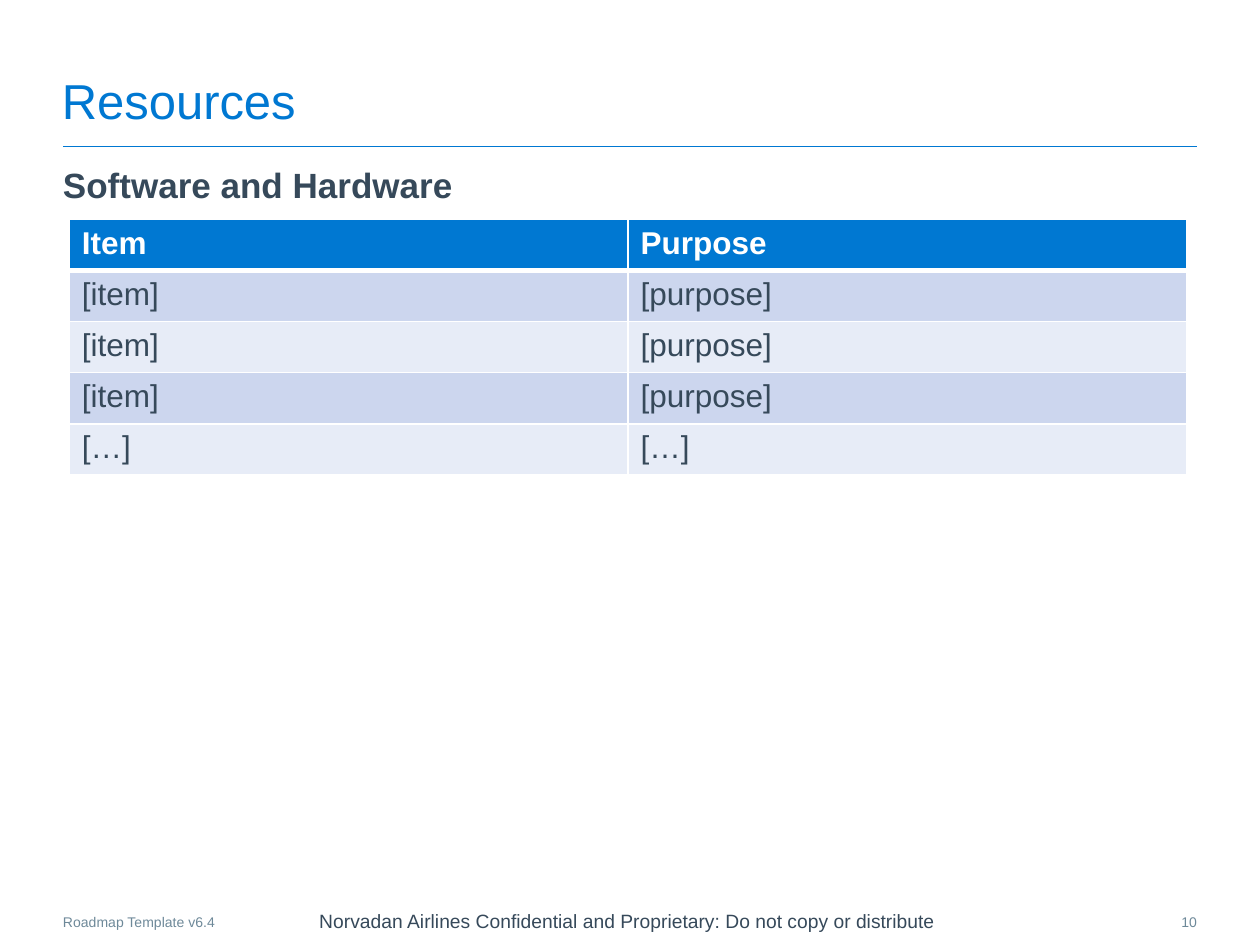
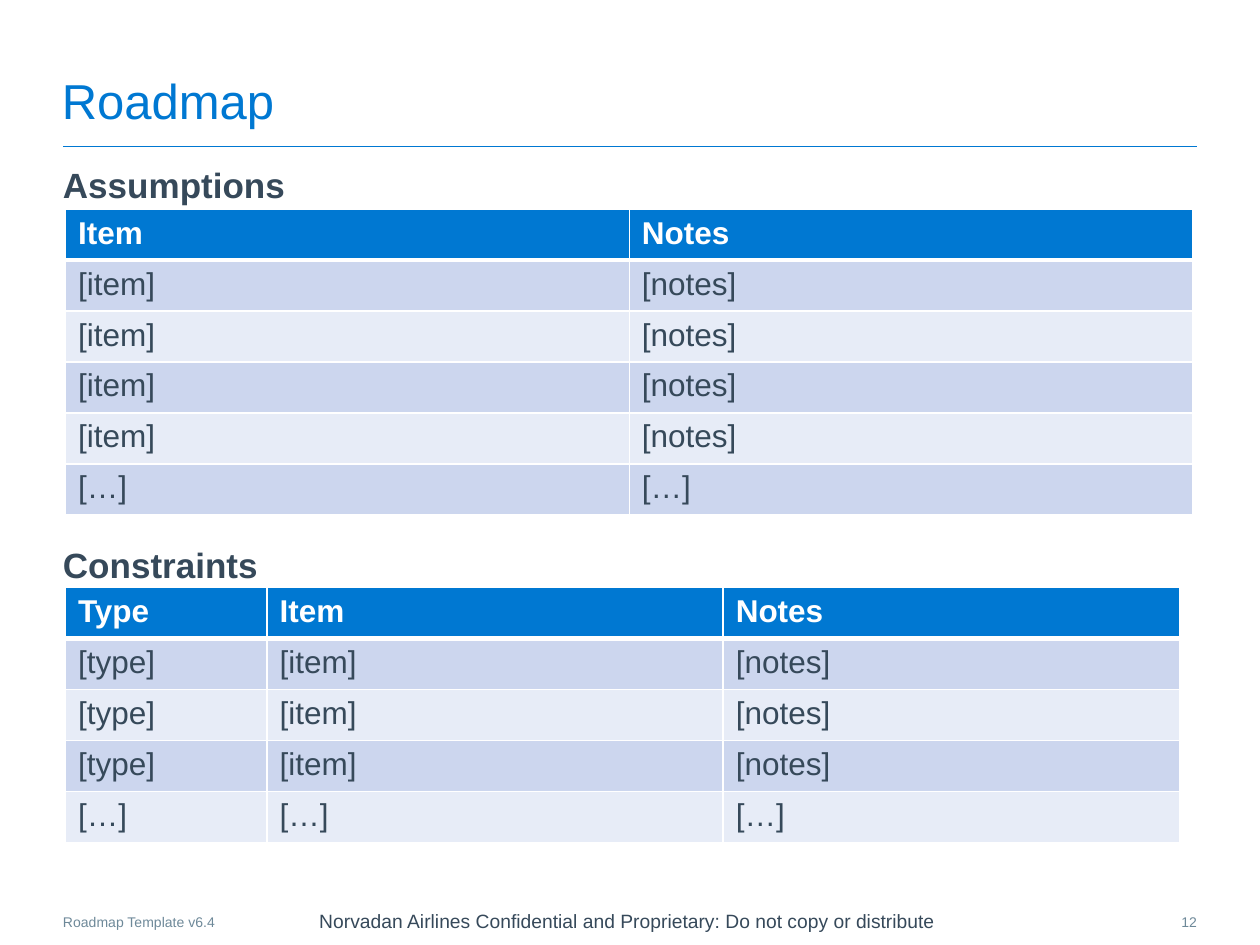
from lxml.etree import SubElement
from pptx import Presentation
from pptx.dml.color import RGBColor
from pptx.enum.shapes import MSO_CONNECTOR
from pptx.enum.text import MSO_ANCHOR as ANCHOR, PP_ALIGN as ALIGN
from pptx.oxml.ns import qn
from pptx.util import Inches, Pt

BLUE = RGBColor(0x00, 0x78, 0xD2)
SLATE = RGBColor(0x36, 0x49, 0x5A)
GREY = RGBColor(0x6E, 0x89, 0x99)
WHITE = RGBColor(0xFF, 0xFF, 0xFF)
BANDS = (RGBColor(0xCC, 0xD6, 0xEE), RGBColor(0xE7, 0xEC, 0xF7))
FONT = "Arial"
NOTICE = "Norvadan Airlines Confidential and Proprietary: Do not copy or distribute"
VERSION = "Roadmap Template v6.4"


def style(p, size, color, bold=False):
    p.font.name = FONT
    p.font.size = Pt(size)
    p.font.color.rgb = color
    p.font.bold = bold


def add_text(s, box, lines, size, color, bold=False, align=ALIGN.LEFT,
             anchor=ANCHOR.TOP, wrap=True, gap=0):
    """Add a text box without margins; gap is the space between paragraphs in points."""
    tf = s.shapes.add_textbox(*map(Inches, box)).text_frame
    tf.margin_left = tf.margin_right = tf.margin_top = tf.margin_bottom = 0
    tf.word_wrap = wrap
    tf.vertical_anchor = anchor
    for i, line in enumerate(lines):
        p = tf.add_paragraph() if i else tf.paragraphs[0]
        p.text = line
        p.alignment = align
        if i:
            p.space_before = Pt(gap)
        style(p, size, color, bold)


def add_title_rule(s):
    rule = s.shapes.add_connector(MSO_CONNECTOR.STRAIGHT, Inches(0.5), Inches(1.16),
                                  Inches(9.5), Inches(1.16))
    rule.line.color.rgb = BLUE
    rule.line.width = Pt(0.5)
    SubElement(rule._element.spPr, qn("a:effectLst"))


def add_footer(s, number):
    add_text(s, (2.01, 7.18, 5.94, 0.26), [NOTICE], 11, SLATE,
             align=ALIGN.CENTER, anchor=ANCHOR.MIDDLE, wrap=False)
    add_text(s, (0.5, 7.25, 1.77, 0.14), [VERSION], 8, GREY)
    add_text(s, (9.15, 7.25, 0.35, 0.15), [str(number)], 8, GREY, align=ALIGN.RIGHT)


def add_page(prs, title, number, headings, gap=0):
    s = prs.slides.add_slide(prs.slide_layouts[6])
    add_title_rule(s)
    add_text(s, (0.49, 0.42, 9.01, 0.61), [title], 28, BLUE, anchor=ANCHOR.BOTTOM)
    add_footer(s, number)
    add_text(s, (0.5, 1.3, 9, 5.42), headings, 20, SLATE, bold=True, gap=gap)
    return s


def set_borders(cell, top, bottom):
    """Draw white cell edges; top and bottom are widths in points."""
    tc_pr = cell._tc.get_or_add_tcPr()
    for edge, width in (("L", 1), ("R", 1), ("T", top), ("B", bottom)):
        ln = SubElement(tc_pr, qn(f"a:ln{edge}"), w=str(Pt(width)))
        SubElement(SubElement(ln, qn("a:solidFill")), qn("a:srgbClr"), val=str(WHITE))


def add_grid(s, box, header, entries, widths=()):
    """Add a banded table: entries placeholder rows, then a row of ellipses."""
    rows = [header]
    rows += [[f"[{name.lower()}]" for name in header]] * entries
    rows += [["[…]"] * len(header)]
    table = s.shapes.add_table(len(rows), len(header), *map(Inches, box)).table
    table.horz_banding = False
    for column, width in zip(table.columns, widths):
        column.width = Inches(width)
    for r, row in enumerate(rows):
        for c, text in enumerate(row):
            cell = table.cell(r, c)
            set_borders(cell, top=3 if r == 1 else 1, bottom=3 if r == 0 else 1)
            cell.fill.solid()
            cell.fill.fore_color.rgb = BANDS[(r - 1) % 2] if r else BLUE
            p = cell.text_frame.paragraphs[0]
            p.text = text
            style(p, 18, SLATE if r else WHITE, bold=r == 0)


def main():
    prs = Presentation()
    prs.slide_width, prs.slide_height = Inches(10), Inches(7.5)

    resources = add_page(prs, "Resources", 10, ["Software and Hardware"])
    add_grid(resources, (0.55, 1.74, 8.87, 2.03), ["Item", "Purpose"], 3)

    roadmap = add_page(prs, "Roadmap", 12, ["Assumptions", "Constraints"], gap=193)
    add_grid(roadmap, (0.52, 1.66, 8.95, 2.43), ["Item", "Notes"], 4)
    add_grid(roadmap, (0.52, 4.66, 8.84, 2.03), ["Type", "Item", "Notes"], 3,
             widths=(1.6, 3.62, 3.62))

    prs.save("out.pptx")


if __name__ == "__main__":
    main()
